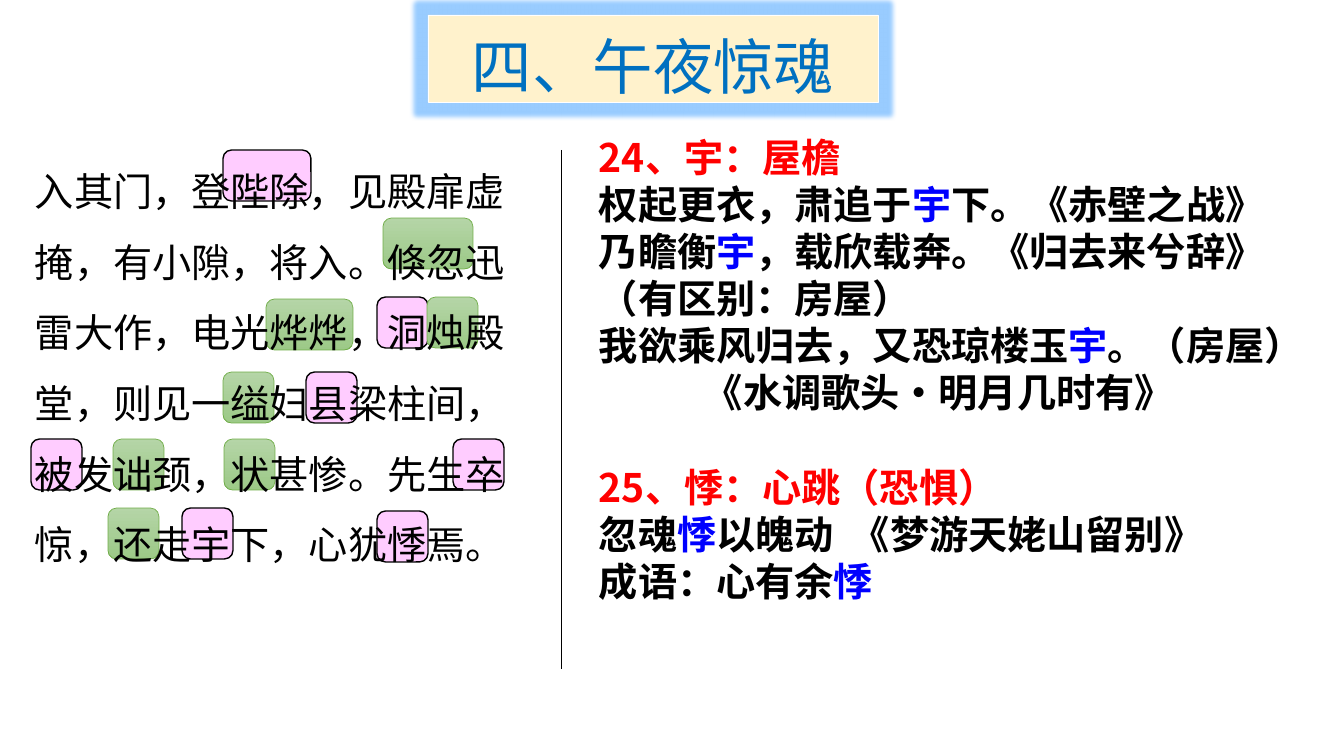
"""Build the annotated reading slide for part four, with word notes beside the passage."""
from lxml import etree
from pptx import Presentation
from pptx.dml.color import RGBColor
from pptx.enum.shapes import MSO_CONNECTOR, MSO_SHAPE
from pptx.enum.text import MSO_ANCHOR, PP_ALIGN
from pptx.oxml.ns import qn
from pptx.util import Emu, Pt

STRAIGHT = MSO_CONNECTOR.STRAIGHT
RECTANGLE, ROUNDED = MSO_SHAPE.RECTANGLE, MSO_SHAPE.ROUNDED_RECTANGLE
TOP, MIDDLE = MSO_ANCHOR.TOP, MSO_ANCHOR.MIDDLE
LEFT, CENTER = PP_ALIGN.LEFT, PP_ALIGN.CENTER

FONT = "Noto Sans CJK SC"
COLORS = {
    "black": "000000", "white": "FFFFFF", "red": "FF0000", "blue": "0000FF",
    "title": "0070C0", "cream": "FFF2CC", "glow": "99CCFF", "pink": "FFCCFF",
    "green_top": "B5D5A7", "green_bottom": "9CC987", "green_line": "70AD47",
}

TITLE = "四、午夜惊魂"
PASSAGE = (
    "入其门，登陛除，见殿扉虚掩，有小隙，将入。倏忽迅雷大作，电光烨烨，洞烛殿堂，"
    "则见一缢妇县梁柱间，被发诎颈，状甚惨。先生卒惊，还走宇下，心犹悸焉。"
)
NOTES = [
    {"runs": [("24、宇：屋檐", "red")]},
    {"runs": [("权起更衣，肃追于", "black"), ("宇", "blue"), ("下。《赤壁之战》", "black")]},
    {"runs": [("乃瞻衡", "black"), ("宇", "blue"), ("，载欣载奔。《归去来兮辞》", "black")]},
    {"runs": [("（有区别：房屋）", "black")]},
    {"runs": [("我欲乘风归去，又恐琼楼玉", "black"), ("宇", "blue"), ("。（房屋）", "black")]},
    {"runs": [("《水调歌头•明月几时有》", "black")], "indent": 105},
    {"runs": [("25、悸：心跳（恐惧）", "red")], "before": 34},
    {"runs": [("忽魂", "black"), ("悸", "blue"), ("以魄动\t《梦游天姥山留别》", "black")], "tab": 252},
    {"runs": [("成语：心有余", "black"), ("悸", "blue")]},
]

MARK = 51
MARKS = [
    ("pink", 377, 511, MARK), ("green", 108, 508, MARK), ("pink", 182, 508, MARK),
    ("pink", 453, 439, MARK), ("green", 224, 439, MARK), ("green", 113, 439, MARK),
    ("pink", 31, 439, MARK), ("pink", 306, 372, MARK), ("green", 223, 372, MARK),
    ("pink", 377, 297, MARK), ("green", 427, 297, MARK), ("green", 266, 299, 87),
    ("green", 383, 218, 90), ("pink", 223, 150, 88),
]


def px(length):
    return Emu(round(length * 914400 / 100.8))


def color(name):
    return RGBColor.from_string(COLORS[name])


def add_box(slide, kind, box, line_color, line_width):
    shape = slide.shapes.add_shape(kind, *map(px, box))
    shape.shadow.inherit = False
    shape.line.color.rgb = color(line_color)
    shape.line.width = Pt(line_width)
    return shape


def add_mark(slide, kind, left, top, width):
    box = (left, top, width, MARK)
    if kind == "pink":
        shape = add_box(slide, ROUNDED, box, "black", 1)
        shape.fill.solid()
        shape.fill.fore_color.rgb = color("pink")
        return
    shape = add_box(slide, ROUNDED, box, "green_line", 0.5)
    shape.fill.gradient()
    shape.fill.gradient_angle = 270
    for stop, name in zip(shape.fill.gradient_stops, ("green_top", "green_bottom")):
        stop.color.rgb = color(name)


def add_glow(shape, radius):
    effects = shape._element.spPr.find(qn("a:effectLst"))
    glow = etree.SubElement(effects, qn("a:glow"), rad=str(px(radius)))
    etree.SubElement(glow, qn("a:srgbClr"), val=COLORS["glow"])


def write(shape, paragraphs, size, bold=False, spacing=1.0, align=LEFT, anchor=TOP):
    frame = shape.text_frame
    frame.word_wrap = True
    frame.vertical_anchor = anchor
    for index, content in enumerate(paragraphs):
        paragraph = frame.add_paragraph() if index else frame.paragraphs[0]
        paragraph.alignment = align
        paragraph.line_spacing = spacing
        paragraph.space_before = Pt(content.get("before", 0))
        properties = paragraph._p.get_or_add_pPr()
        properties.set("marL", str(px(content.get("indent", 0))))
        properties.set("indent", "0")
        if "tab" in content:
            tabs = etree.SubElement(properties, qn("a:tabLst"))
            etree.SubElement(tabs, qn("a:tab"), pos=str(px(content["tab"])), algn="l")
        for text, name in content["runs"]:
            run = paragraph.add_run()
            run.text = text
            run.font.size = Pt(size)
            run.font.bold = bold
            run.font.name = FONT
            run.font.color.rgb = color(name)
            etree.SubElement(run._r.get_or_add_rPr(), qn("a:ea"), typeface=FONT)


def main():
    presentation = Presentation()
    presentation.slide_width, presentation.slide_height = px(1344), px(756)
    slide = presentation.slides.add_slide(presentation.slide_layouts[6])

    for mark in MARKS:
        add_mark(slide, *mark)

    title = add_box(slide, RECTANGLE, (428, 15, 450, 87), "white", 0.5)
    title.fill.solid()
    title.fill.fore_color.rgb = color("cream")
    add_glow(title, 9)
    write(title, [{"runs": [(TITLE, "title")]}], 43.2, spacing=1.2, align=CENTER, anchor=MIDDLE)

    passage = slide.shapes.add_textbox(*map(px, (0, 139, 523, 602)))
    write(passage, [{"runs": [(PASSAGE, "black")], "indent": 25}], 28, spacing=1.5)

    divider = slide.shapes.add_connector(STRAIGHT, *map(px, (561, 150, 561, 669)))
    divider.line.color.rgb = color("black")
    divider.line.width = Pt(0.5)
    etree.SubElement(divider._element.spPr, qn("a:effectLst"))

    notes = slide.shapes.add_textbox(*map(px, (589, 128, 742, 485)))
    write(notes, NOTES, 28, bold=True)

    presentation.save("out.pptx")


if __name__ == "__main__":
    main()
